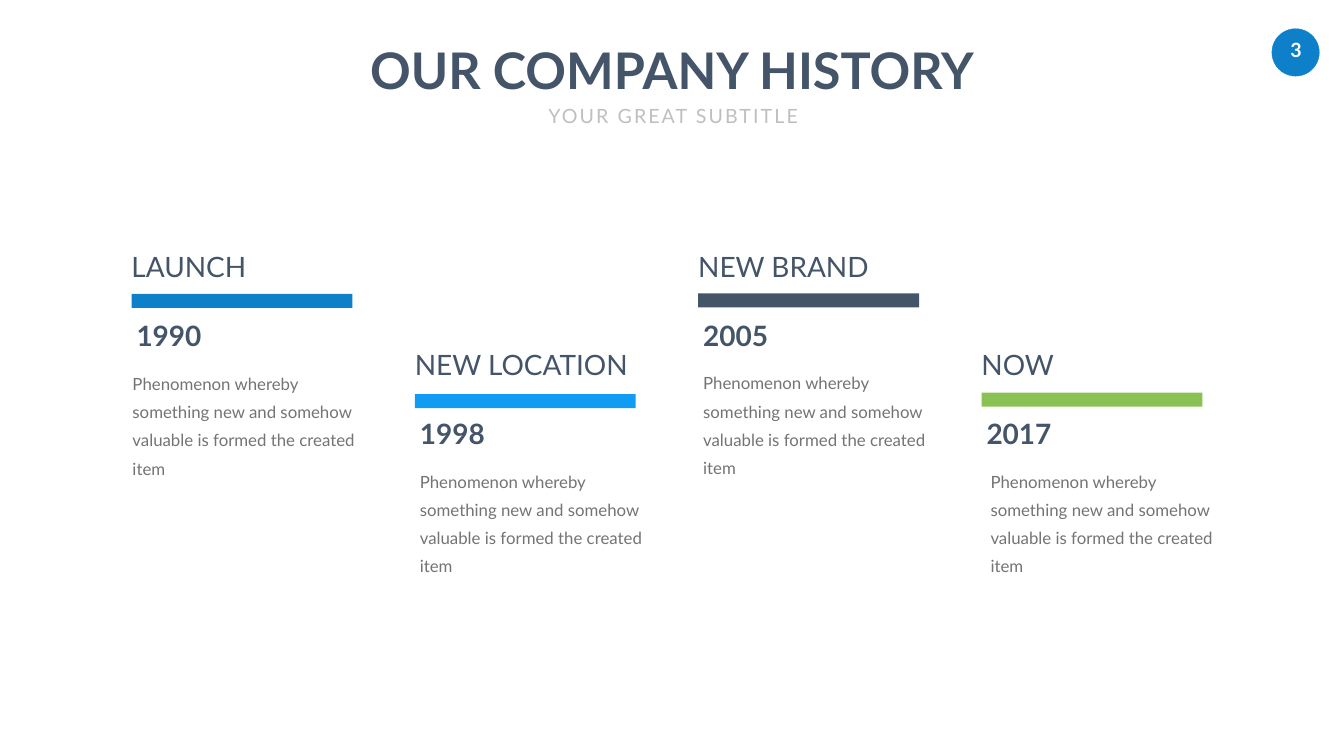
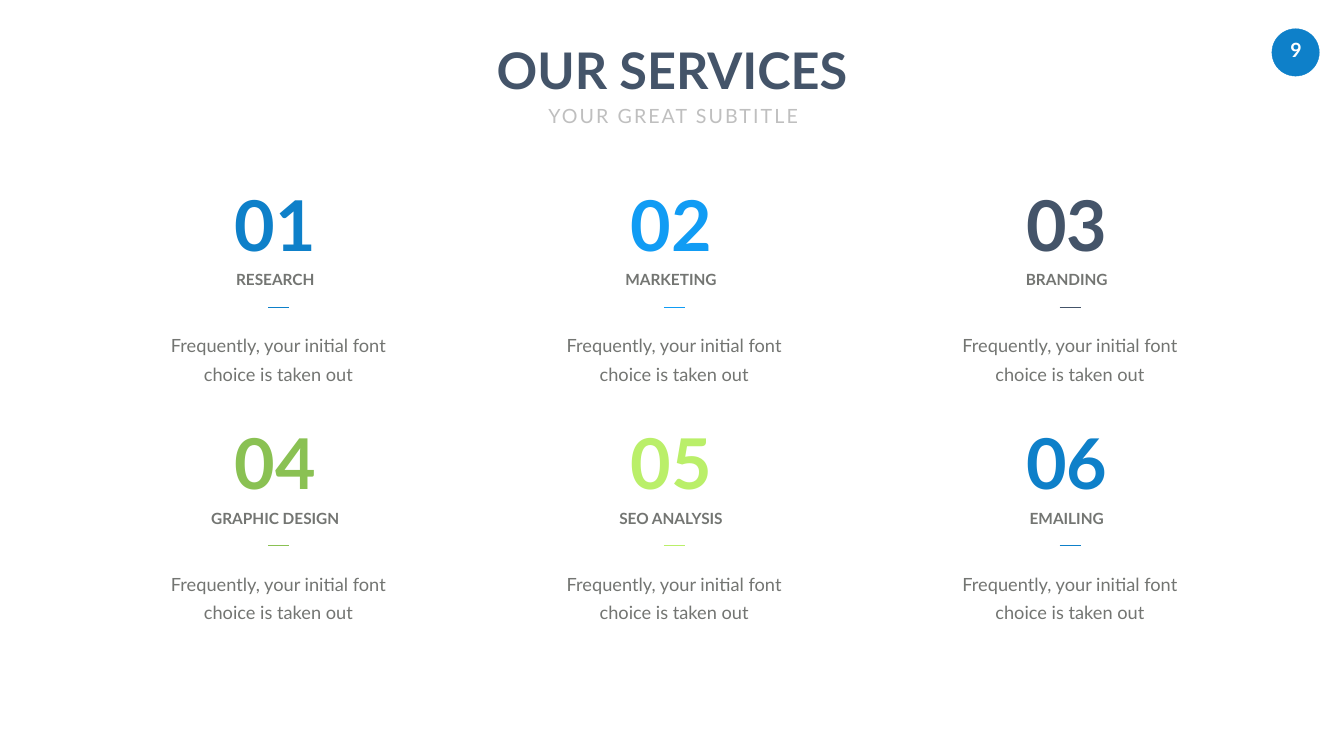
from lxml.etree import SubElement
from pptx import Presentation
from pptx.dml.color import RGBColor as Rgb
from pptx.enum.shapes import MSO_CONNECTOR as Link, MSO_SHAPE as Form
from pptx.enum.text import MSO_AUTO_SIZE as Fit, PP_ALIGN as Align
from pptx.oxml.ns import qn
from pptx.util import Inches, Pt

INK = {
    "blue": "0E80C9", "sky": "119CF4", "navy": "445469", "green": "8AC153",
    "lime": "BAEF69", "gray": "737572", "pale": "BFBFBF", "white": "FFFFFF",
}
WIDE, HIGH = 26.66, 15
STORY = "Phenomenon whereby something new and somehow valuable is formed the created item"
OFFER = "Frequently, your initial font choice is taken out"


class Deck:
    """Hold the deck style and the current slide."""

    def __init__(self):
        self.show = Presentation()
        self.show.slide_width = Inches(WIDE)
        self.show.slide_height = Inches(HIGH)
        self.slide = None

    def page(self, num, title, width):
        self.slide = self.show.slides.add_slide(self.show.slide_layouts[6])
        self.block(Form.OVAL, 25.23, 0.57, 0.94, 0.94, "blue", edge=0.5)
        self.text(num, 25.27, 0.66, 0.88, 0.67, 28, "white", bold=True,
                  mid=True, pad=(0.2, 0.1))
        self.text(title, (WIDE - width) / 2, 0.72, width, 1.31, 72, "navy",
                  bold=True, mid=True)
        self.text("YOUR GREAT SUBTITLE", 10.56, 1.85, 5.59, 0.81, 28, "pale",
                  mid=True, pad=(0.24, 0.12), lead=1.2, lift=5.6, track=3)

    def block(self, form, x, y, w, h, ink, edge=None):
        shape = self.slide.shapes.add_shape(
            form, Inches(x), Inches(y), Inches(w), Inches(h))
        shape.shadow.inherit = False
        shape.fill.solid()
        shape.fill.fore_color.rgb = Rgb.from_string(INK[ink])
        if edge:
            shape.line.color.rgb = Rgb.from_string(INK[ink])
            shape.line.width = Pt(edge)
        else:
            shape.line.fill.background()

    def text(self, words, x, y, w, h, size, ink, bold=False, mid=False,
             wrap=False, pad=(0.1, 0.05), lead=None, lift=None, track=None):
        box = self.slide.shapes.add_textbox(
            Inches(x), Inches(y), Inches(w), Inches(h))
        frame = box.text_frame
        frame.word_wrap = wrap
        frame.auto_size = Fit.SHAPE_TO_FIT_TEXT
        frame.margin_left = frame.margin_right = Inches(pad[0])
        frame.margin_top = frame.margin_bottom = Inches(pad[1])
        para = frame.paragraphs[0]
        para.alignment = Align.CENTER if mid else Align.LEFT
        if lead:
            para.line_spacing = lead
        if lift:
            para.space_before = Pt(lift)
        run = para.add_run()
        run.text = words
        font = run.font
        font.name, font.size, font.bold = "Lato", Pt(size), bold
        font.color.rgb = Rgb.from_string(INK[ink])
        if track:
            run._r.get_or_add_rPr().set("spc", str(track * 100))

    def rule(self, x, y, w, ink):
        line = self.slide.shapes.add_connector(
            Link.STRAIGHT, Inches(x), Inches(y), Inches(x + w), Inches(y))
        line.line.color.rgb = Rgb.from_string(INK[ink])
        line.line.width = Pt(0.5)
        SubElement(line._element.spPr, qn("a:effectLst"))

    def event(self, x, top, name, width, bar, year, ink, side):
        self.block(Form.RECTANGLE, x, bar, 4.38, 0.28, ink)
        self.text(name, x - 0.1, top, width, 0.77, 40, "navy")
        self.text(year, x, top + 1.37, 1.51, 0.77, 40, "navy", bold=True)
        self.text(STORY, x + side, top + 2.29, 4.73, 2.34, 24, "gray",
                  wrap=True, lead=Pt(40.4))

    def service(self, x, y, num, name, width, ink):
        self.text(num, x - 0.91, y, 1.83, 1.78, 100, ink, bold=True, mid=True)
        self.text(name, x - width / 2, y + 1.76, width, 0.48, 22, "gray",
                  bold=True, mid=True, lead=Pt(26.8))
        self.rule(x - 0.14, y + 2.54, 0.42, ink)
        self.text(OFFER, x - 2.45, y + 2.84, 5.03, 1.36, 26, "gray", mid=True,
                  wrap=True, pad=(0.24, 0.12), lead=Pt(40.4), lift=5.2)


def main():
    deck = Deck()
    deck.page("3", "OUR COMPANY HISTORY", 12.46)
    events = [
        (4.91, "LAUNCH", 2.56, 5.83, "1990", "blue", -0.08),
        (6.85, "NEW LOCATION", 4.62, 7.82, "1998", "sky", 0),
        (4.9, "NEW BRAND", 3.69, 5.82, "2005", "navy", 0),
        (6.85, "NOW", 1.69, 7.79, "2017", "green", 0.08),
    ]
    for col, event in enumerate(events):
        deck.event(2.61 + 5.62 * col, *event)

    deck.page("9", "OUR SERVICES", 7.28)
    services = [
        ("RESEARCH", 1.81, "blue"), ("MARKETING", 2.06, "sky"),
        ("BRANDING", 1.87, "navy"), ("GRAPHIC DESIGN", 2.83, "green"),
        ("SEO ANALYSIS", 2.38, "lime"), ("EMAILING", 1.71, "blue"),
    ]
    for spot, service in enumerate(services):
        row, col = divmod(spot, 3)
        deck.service(5.46 + 7.85 * col, 3.55 + 4.73 * row,
                     f"{spot + 1:02}", *service)
    deck.show.save("out.pptx")


if __name__ == "__main__":
    main()
